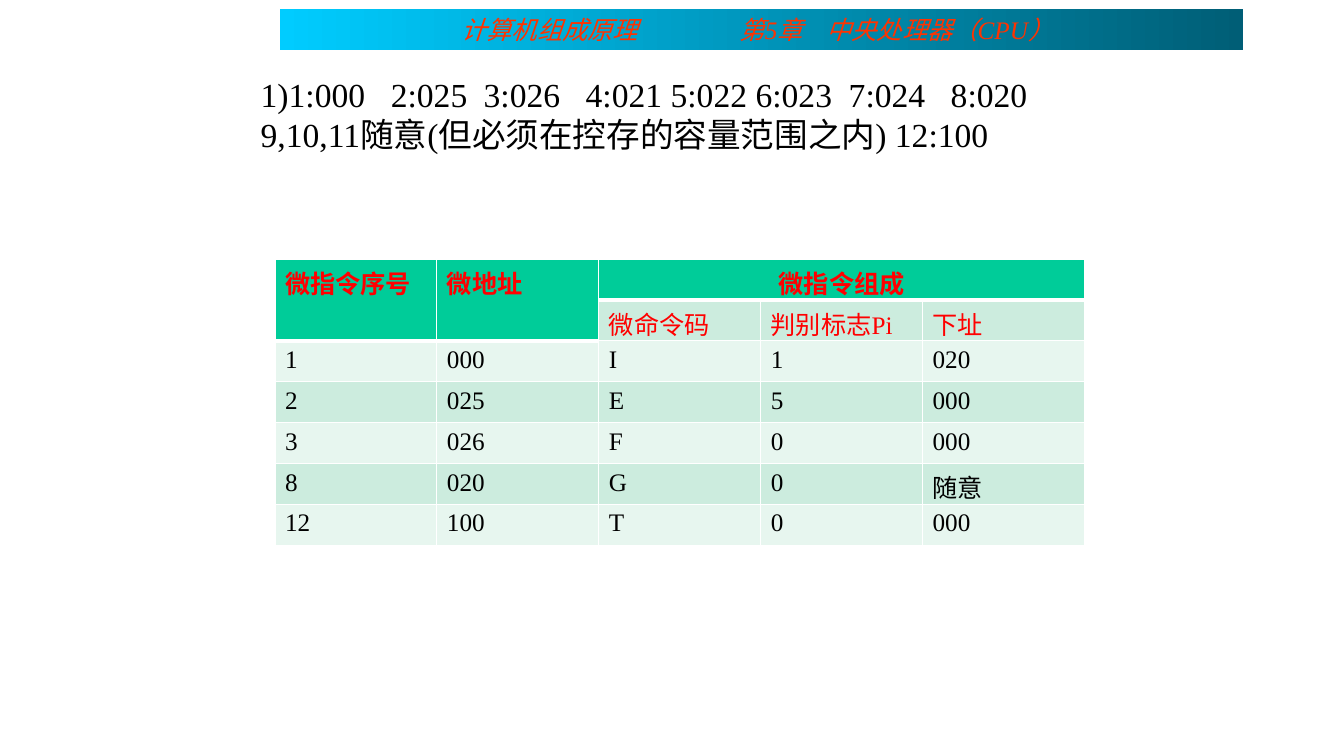
from dataclasses import dataclass

from lxml.etree import SubElement
from pptx import Presentation
from pptx.dml.color import RGBColor as RGB
from pptx.enum.shapes import MSO_SHAPE as Shape
from pptx.enum.text import MSO_ANCHOR as Anchor, PP_ALIGN as Align
from pptx.oxml.ns import qn
from pptx.util import Cm, Pt


@dataclass(frozen=True)
class Theme:
    font: str = "Times New Roman"
    body_size: int = 24
    small_size: int = 18
    text: str = "000000"
    banner_text: str = "FF3300"
    heading_text: str = "FF0000"
    banner_stops: tuple = ("00CCFF", "005E76")
    heading_fill: str = "00CC99"
    bands: tuple = ("CCECDE", "E7F6EF")
    border: str = "FFFFFF"


THEME = Theme()

CHAPTER = "计算机组成原理\t第5章\t中央处理器（CPU）"
ANSWER = ("1)1:000\t2:025\t3:026\t4:021 5:022 6:023\t7:024\t8:020 "
          "9,10,11随意(但必须在控存的容量范围之内) 12:100")
COLUMNS = 5
HEADINGS = ["微指令序号", "微地址", "微指令组成"]
SUBHEADINGS = ["微命令码", "判别标志Pi", "下址"]
INSTRUCTIONS = [
    ["1", "000", "I", "1", "020"],
    ["2", "025", "E", "5", "000"],
    ["3", "026", "F", "0", "000"],
    ["8", "020", "G", "0", "随意"],
    ["12", "100", "T", "0", "000"],
]


def write(frame, text, size, color, tabs=(), align=Align.LEFT, **styles):
    """Fill a text frame with one styled paragraph and its tab stops."""
    paragraph = frame.paragraphs[0]
    paragraph.text = text
    paragraph.alignment = align
    if tabs:
        tab_list = SubElement(paragraph._p.get_or_add_pPr(), qn("a:tabLst"))
        for stop in tabs:
            SubElement(tab_list, qn("a:tab"), pos=str(Cm(stop)), algn="l")
    styles.update(name=THEME.font, size=Pt(size))
    font = paragraph.runs[0].font
    for attribute, value in styles.items():
        setattr(font, attribute, value)
    font.color.rgb = RGB.from_string(color)


def add_banner(slide):
    banner = slide.shapes.add_shape(
        Shape.RECTANGLE, Cm(7.06), Cm(0.23), Cm(24.26), Cm(1.02))
    banner.shadow.inherit = False
    banner.line.fill.background()
    banner.fill.gradient()
    banner.fill.gradient_angle = 0
    for position, (stop, color) in enumerate(
            zip(banner.fill.gradient_stops, THEME.banner_stops)):
        stop.position = position
        stop.color.rgb = RGB.from_string(color)
    frame = banner.text_frame
    layout = dict(word_wrap=True, vertical_anchor=Anchor.MIDDLE,
                  margin_left=Cm(4.57), margin_top=0, margin_bottom=0)
    for attribute, value in layout.items():
        setattr(frame, attribute, value)
    write(frame, CHAPTER, THEME.small_size, THEME.banner_text,
          tabs=(7.01, 9.2), italic=True)


def add_answer(slide):
    answer = slide.shapes.add_textbox(Cm(6.32), Cm(1.73), Cm(21.79), Cm(2.31))
    answer.text_frame.word_wrap = True
    write(answer.text_frame, ANSWER, THEME.body_size, THEME.text,
          tabs=(3.28, 5.62, 8.19, 14.82, 17.39))


def paint_cell(cell, fill, bottom=1):
    """Draw the four borders, then the fill."""
    properties = cell._tc.get_or_add_tcPr()
    for side, width in dict(L=1, R=1, T=1, B=bottom).items():
        edge = SubElement(properties, qn(f"a:ln{side}"), w=str(Pt(width)))
        SubElement(SubElement(edge, qn("a:solidFill")),
                   qn("a:srgbClr"), val=THEME.border)
    cell.fill.solid()
    cell.fill.fore_color.rgb = RGB.from_string(fill)


def add_instruction_table(slide):
    row_count = len(INSTRUCTIONS) + 2
    table = slide.shapes.add_table(
        row_count, COLUMNS, Cm(6.93), Cm(6.53), Cm(20.4), Cm(7.21)).table
    table.first_row = table.horz_banding = False
    for column in table.columns:
        column.width = Cm(4.08)
    for row in table.rows:
        row.height = Cm(1.03)

    # Fills and borders, with a heavy rule under the headings
    for r in range(row_count):
        for c in range(COLUMNS):
            if r == 0 or (r == 1 and c < 2):
                paint_cell(table.cell(r, c), THEME.heading_fill, bottom=3)
            else:
                paint_cell(table.cell(r, c), THEME.bands[(r + 1) % 2])

    # Merged headings
    for c, end in enumerate([(1, 0), (1, 1), (0, 4)]):
        heading = table.cell(0, c)
        heading.merge(table.cell(*end))
        write(heading.text_frame, HEADINGS[c], THEME.small_size,
              THEME.heading_text, bold=True,
              align=Align.CENTER if c == 2 else Align.LEFT)

    # Subheadings and instructions
    for c, text in enumerate(SUBHEADINGS, start=2):
        write(table.cell(1, c).text_frame, text, THEME.small_size,
              THEME.heading_text)
    for r, instruction in enumerate(INSTRUCTIONS, start=2):
        for c, text in enumerate(instruction):
            write(table.cell(r, c).text_frame, text, THEME.small_size,
                  THEME.text)


def main():
    deck = Presentation()
    deck.slide_width, deck.slide_height = Cm(33.87), Cm(19.05)
    slide = deck.slides.add_slide(deck.slide_layouts[6])
    add_banner(slide)
    add_answer(slide)
    add_instruction_table(slide)
    deck.save("out.pptx")


if __name__ == "__main__":
    main()
